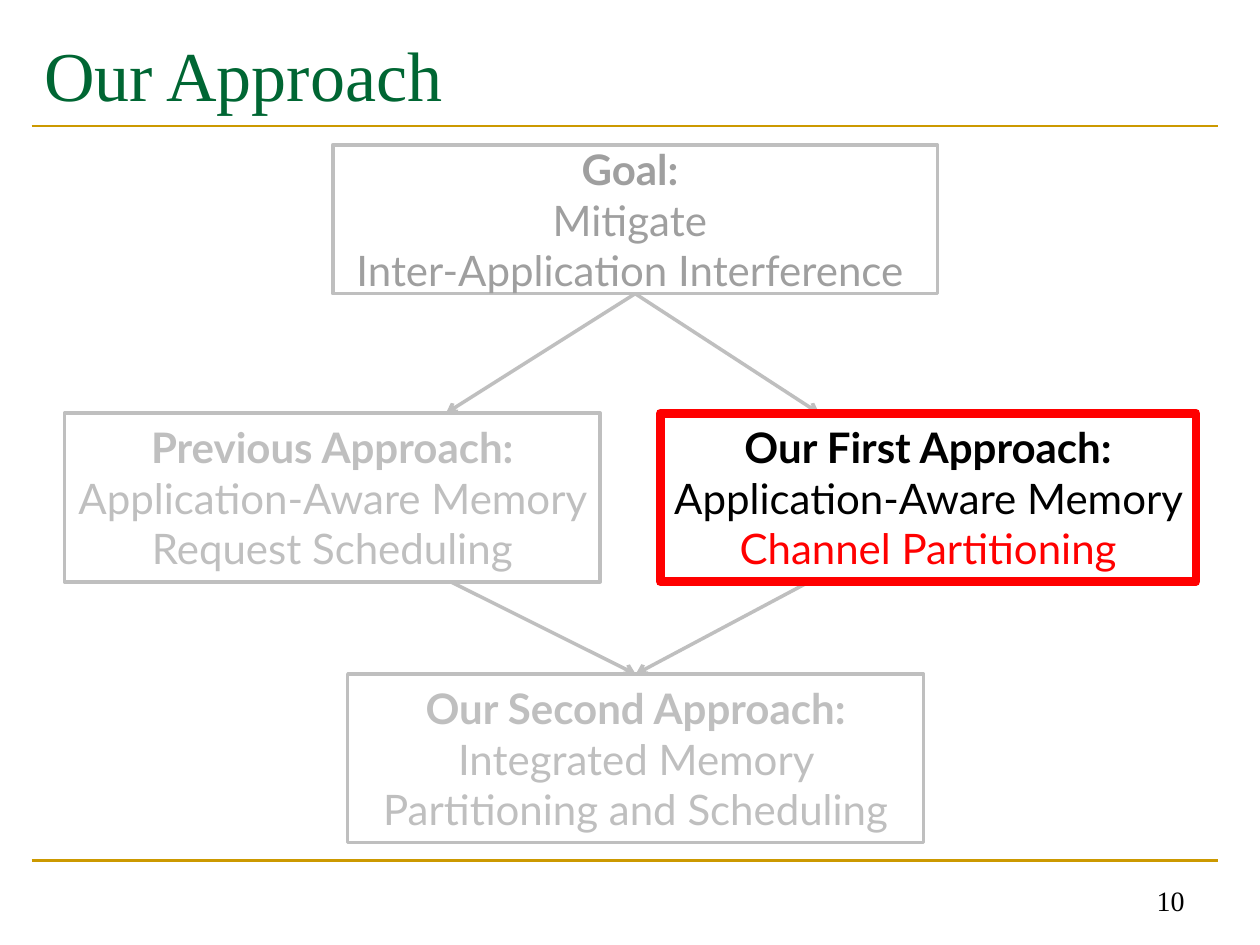
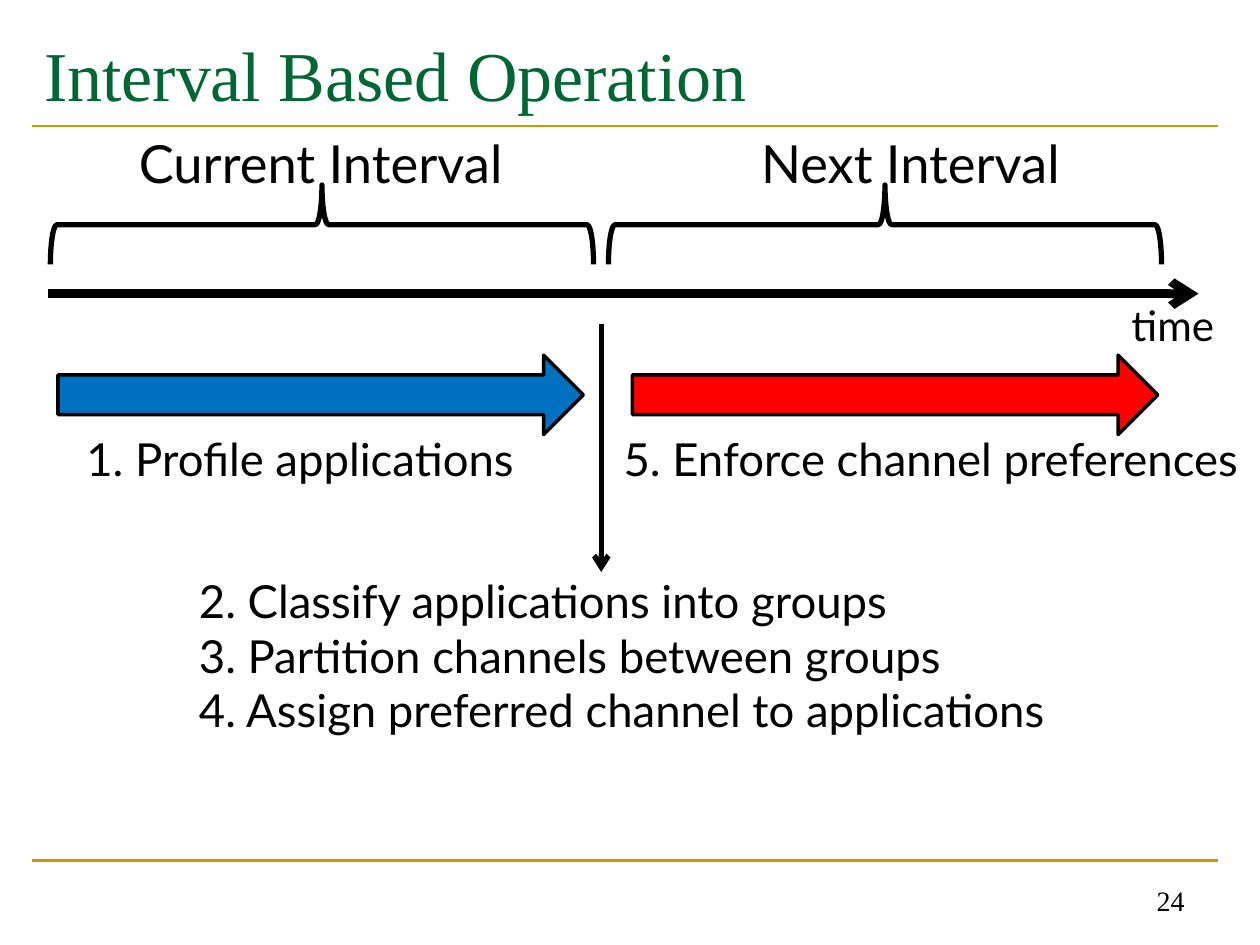
from lxml import etree
from pptx import Presentation as Deck
from pptx.dml.color import RGBColor as Rgb
from pptx.enum.shapes import MSO_CONNECTOR as Link, MSO_SHAPE as Form
from pptx.enum.text import MSO_ANCHOR as Anchor, PP_ALIGN as Align
from pptx.oxml.ns import qn
from pptx.util import Cm, Pt


class Theme:
    green, gold = Rgb(0x00, 0x66, 0x33), Rgb(0xCC, 0x99, 0x00)
    black, red, blue = Rgb(0, 0, 0), Rgb(0xFF, 0, 0), Rgb(0x00, 0x70, 0xC0)
    pale, grey = Rgb(0xBF, 0xBF, 0xBF), Rgb(0x9F, 0x9F, 0x9F)
    serif, sans = "Times New Roman", "Lato"
    title, label, step, body, page = 40, 30, 26, 24, 16


def write(shape, text, size, color=Theme.black, font=Theme.sans,
          align=Align.LEFT, anchor=Anchor.TOP):
    frame = shape.text_frame
    frame.text = text
    frame.word_wrap = True
    frame.vertical_anchor = anchor
    for para in frame.paragraphs:
        para.alignment = align
        for run in para.runs:
            run.font.name, run.font.size = font, Pt(size)
            run.font.color.rgb = color
    return frame


def draw(slide, start, end, color, width, head=True):
    line = slide.shapes.add_connector(
        Link.STRAIGHT, *[Cm(n) for n in start + end])
    line.line.color.rgb = color
    line.line.width = Pt(width)
    if head:
        tip = etree.SubElement(line.line._get_or_add_ln(), qn("a:tailEnd"))
        tip.set("type", "arrow")
    etree.SubElement(line._element.spPr, qn("a:effectLst"))
    return line


deck = Deck()
deck.slide_width, deck.slide_height = Cm(25.4), Cm(19.05)

# Title, gold rules and page number on each slide
slides = []
for title, page in [("Our Approach", "10"), ("Interval Based Operation", "24")]:
    slide = deck.slides.add_slide(deck.slide_layouts[6])
    for y in (17.35, 2.54):
        draw(slide, (0.64, y), (24.56, y), Theme.gold, 1.5, head=False)
    box = slide.shapes.add_textbox(Cm(0.64), Cm(0.43), Cm(23.93), Cm(2.11))
    write(box, title, Theme.title, Theme.green, Theme.serif,
          anchor=Anchor.MIDDLE)
    box = slide.shapes.add_textbox(Cm(18.21), Cm(17.35), Cm(5.92), Cm(1.27))
    write(box, page, Theme.page, font=Theme.serif, align=Align.RIGHT,
          anchor=Anchor.BOTTOM)
    slides.append(slide)
plan, time = slides

# Boxes of the approach chart, the stressed one last
boxes = {}
for name, place, text, ink, edge, width in [
    ("goal", (6.71, 2.92, 12.19, 3),
     "Goal: \nMitigate \nInter-Application Interference ",
     Theme.grey, Theme.pale, 2),
    ("past", (1.3, 8.33, 10.8, 3.4),
     "Previous Approach:\nApplication-Aware Memory Request Scheduling",
     Theme.pale, Theme.pale, 2),
    ("second", (7.01, 13.59, 11.61, 3.4),
     "Our Second Approach:\nIntegrated Memory Partitioning and Scheduling",
     Theme.pale, Theme.pale, 2),
    ("first", (13.31, 8.33, 10.8, 3.4),
     "Our First Approach:\nApplication-Aware Memory ",
     Theme.black, Theme.red, 5),
]:
    # Arrows lie beneath the stressed box
    if name == "first":
        for end in ((8.99, 8.33), (16.51, 8.33)):
            line = draw(plan, (12.8, 5.92), end, Theme.pale, 2)
            line.begin_connect(boxes["goal"], 2)
        for start in ((9.09, 11.73), (16.31, 11.73)):
            line = draw(plan, start, (12.8, 13.59), Theme.pale, 2)
            line.end_connect(boxes["second"], 0)
    box = plan.shapes.add_shape(Form.RECTANGLE, *[Cm(n) for n in place])
    box.shadow.inherit = False
    box.fill.background()
    box.line.color.rgb, box.line.width = edge, Pt(width)
    frame = write(box, text, Theme.body, ink, align=Align.CENTER,
                  anchor=Anchor.MIDDLE)
    frame.paragraphs[0].runs[0].font.bold = True
    boxes[name] = box

# Red ending of the stressed box
run = frame.paragraphs[1].add_run()
run.text = "Channel Partitioning"
run.font.name, run.font.size = Theme.sans, Pt(Theme.body)
run.font.color.rgb = Theme.red

# Time axis
draw(time, (0.97, 5.92), (24.16, 5.92), Theme.black, 5)
box = time.shapes.add_textbox(Cm(22.56), Cm(5.92), Cm(2.59), Cm(1.27))
write(box, "time", Theme.body)

# Each interval: brace, label, block arrow and step
depth, mid = 1.6, 4.53
for name, heart, span, left, color, start, step, place, align in [
    ("Current Interval", 6.49, 10.95, 1.17, Theme.blue, 1.17,
     "1. Profile applications", (0.76, 10.59), Align.CENTER),
    ("Next Interval", 17.84, 11.15, 13.06, Theme.red, 12.75,
     "5. Enforce channel preferences", (12.32, 13.08), Align.LEFT),
]:
    brace = time.shapes.add_shape(
        Form.LEFT_BRACE, Cm(heart - depth / 2), Cm(mid - span / 2),
        Cm(depth), Cm(span))
    brace.rotation = 90
    brace.fill.background()
    arrow = time.shapes.add_shape(
        Form.RIGHT_ARROW, Cm(start), Cm(7.16), Cm(10.59), Cm(1.6))
    arrow.fill.solid()
    arrow.fill.fore_color.rgb = color
    for shape, width in ((brace, 3), (arrow, 2)):
        shape.shadow.inherit = False
        shape.line.color.rgb, shape.line.width = Theme.black, Pt(width)
    box = time.shapes.add_textbox(Cm(left), Cm(2.51), Cm(10.59), Cm(1.55))
    write(box, name, Theme.label, align=Align.CENTER)
    box = time.shapes.add_textbox(
        Cm(place[0]), Cm(8.56), Cm(place[1]), Cm(1.37))
    write(box, step, Theme.step, align=align)

# Steps at the switch between intervals
draw(time, (12.12, 6.53), (12.12, 11.53), Theme.black, 3)
box = time.shapes.add_textbox(Cm(3.76), Cm(11.43), Cm(18.49), Cm(3.58))
write(box, "2. Classify applications into groups\n"
           "3. Partition channels between groups\n"
           "4. Assign preferred channel to applications", Theme.step)

deck.save("out.pptx")
